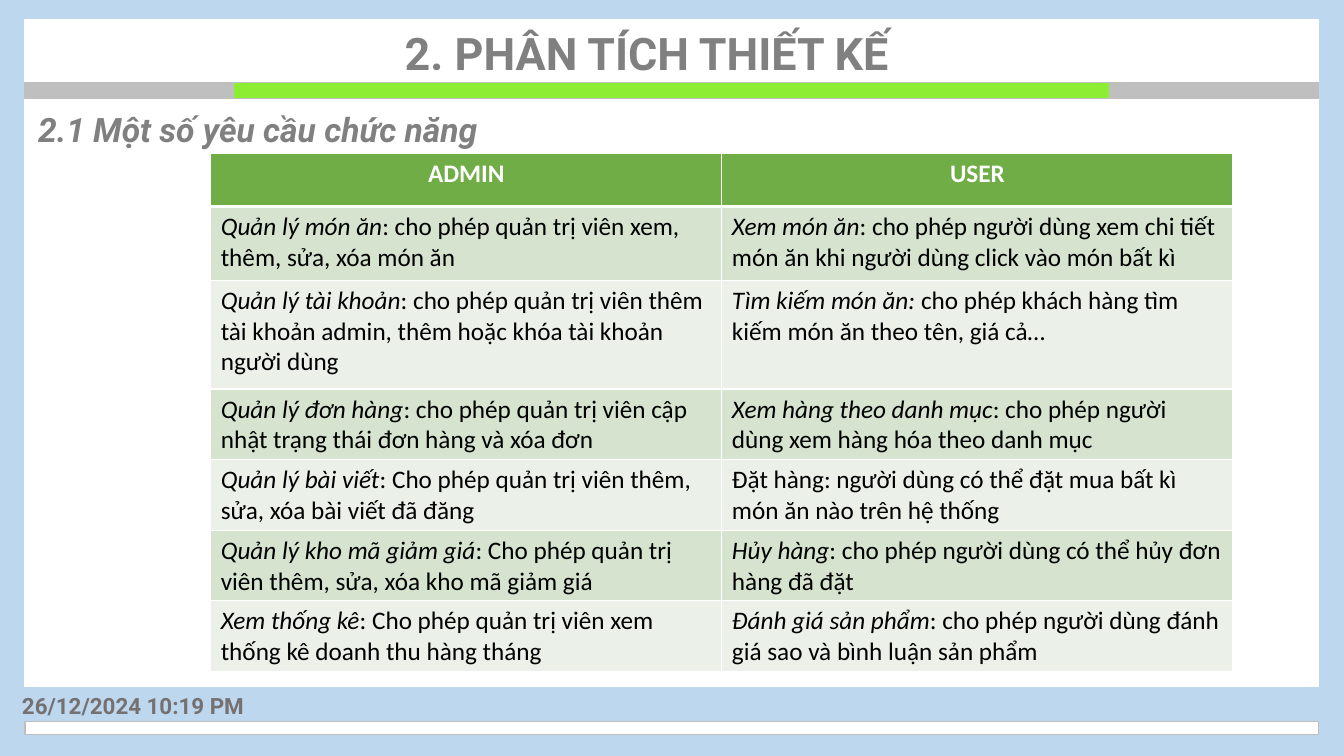
from lxml import etree
from pptx import Presentation
from pptx.dml.color import RGBColor
from pptx.enum.shapes import MSO_SHAPE
from pptx.enum.text import MSO_ANCHOR, PP_ALIGN
from pptx.oxml.ns import qn
from pptx.util import Inches, Pt

RECTANGLE = MSO_SHAPE.RECTANGLE
TOP, MIDDLE = MSO_ANCHOR.TOP, MSO_ANCHOR.MIDDLE
LEFT, CENTER, JUSTIFY = PP_ALIGN.LEFT, PP_ALIGN.CENTER, PP_ALIGN.JUSTIFY

WHITE = RGBColor(0xFF, 0xFF, 0xFF)
BLACK = RGBColor(0x00, 0x00, 0x00)
SKY = RGBColor(0xBD, 0xD7, 0xEE)
SILVER = RGBColor(0xBF, 0xBF, 0xBF)
LIME = RGBColor(0x8C, 0xED, 0x33)
GRAY = RGBColor(0x80, 0x80, 0x80)
DATE_GRAY = RGBColor(0x76, 0x71, 0x71)
HEADER_GREEN = RGBColor(0x70, 0xAD, 0x47)
BANDS = (RGBColor(0xD5, 0xE3, 0xCF), RGBColor(0xEB, 0xF1, 0xE9))

PAGE_WIDTH, PAGE_HEIGHT = 13.33, 7.5
ROW_HEIGHTS = (0.53, 0.73, 1.08, 0.7, 0.7, 0.7, 0.7)
HEADERS = ("ADMIN", "USER")
FEATURES = (
    (("Quản lý món ăn", ": cho phép quản trị viên xem, thêm, sửa, xóa món ăn"),
     ("Xem món ăn", ": cho phép người dùng xem chi tiết món ăn khi người dùng click vào món bất kì")),
    (("Quản lý tài khoản", ": cho phép quản trị viên thêm tài khoản admin, thêm hoặc khóa tài khoản người dùng"),
     ("Tìm kiếm món ăn: ", "cho phép khách hàng tìm kiếm món ăn theo tên, giá cả…")),
    (("Quản lý đơn hàng", ": cho phép quản trị viên cập nhật trạng thái đơn hàng và xóa đơn"),
     ("Xem hàng theo danh mục", ": cho phép người dùng xem hàng hóa theo danh mục")),
    (("Quản lý bài viết", ": Cho phép quản trị viên thêm, sửa, xóa bài viết đã đăng"),
     ("", "Đặt hàng: người dùng có thể đặt mua bất kì món ăn nào trên hệ thống")),
    (("Quản lý kho mã giảm giá", ": Cho phép quản trị viên thêm, sửa, xóa kho mã giảm giá"),
     ("Hủy hàng", ": cho phép người dùng có thể hủy đơn hàng đã đặt")),
    (("Xem thống kê", ": Cho phép quản trị viên xem thống kê doanh thu hàng tháng"),
     ("Đánh giá sản phẩm", ": cho phép người dùng đánh giá sao và bình luận sản phẩm")),
)


def add_span(para, text, size=18, font="Calibri", color=BLACK, bold=False, italic=False):
    """Append formatted text to a paragraph."""
    span = para.add_run()
    span.text = text
    span.font.size = Pt(size)
    span.font.name = font
    span.font.color.rgb = color
    span.font.bold = bold
    span.font.italic = italic


def add_label(page, box, text, align=LEFT, anchor=TOP, space_after=0, **style):
    """Place a one-line bold Roboto label in a box."""
    frame = page.shapes.add_textbox(*map(Inches, box)).text_frame
    frame.word_wrap = True
    frame.vertical_anchor = anchor
    para = frame.paragraphs[0]
    para.alignment = align
    para.space_after = Pt(space_after)
    add_span(para, text, font="Roboto", bold=True, **style)


def add_panel(page, box, fill, line=None):
    """Draw a filled rectangle with an optional thin outline."""
    panel = page.shapes.add_shape(RECTANGLE, *map(Inches, box))
    panel.shadow.inherit = False
    panel.fill.solid()
    panel.fill.fore_color.rgb = fill
    if line is None:
        panel.line.fill.background()
    else:
        panel.line.color.rgb = line
        panel.line.width = Pt(1)


def add_frame(page, left, top, width):
    """Draw the backdrop, content panel, footer strip and title bar."""
    cap = 2.07
    bar_top, bar_height = top + 0.62, 0.16
    add_panel(page, (0, 0, PAGE_WIDTH, PAGE_HEIGHT), SKY)
    add_panel(page, (left, top, width, 6.61), WHITE, WHITE)
    add_panel(page, (left, top + 6.96, width, 0.13), WHITE, SILVER)
    add_panel(page, (left, bar_top, width, bar_height), LIME, SILVER)
    add_panel(page, (left, bar_top, cap, bar_height), SILVER)
    add_panel(page, (left + width - cap, bar_top, cap, bar_height), SILVER, SILVER)


def style_cell(cell, fill, top=1, bottom=1):
    """Give a cell white borders and a solid fill."""
    properties = cell._tc.get_or_add_tcPr()
    for side, width in (("L", 1), ("R", 1), ("T", top), ("B", bottom)):
        border = etree.SubElement(properties, qn(f"a:ln{side}"), w=str(Pt(width)))
        paint = etree.SubElement(border, qn("a:solidFill"))
        etree.SubElement(paint, qn("a:srgbClr"), val=str(WHITE))
    cell.fill.solid()
    cell.fill.fore_color.rgb = fill


def add_feature_table(page, left, top, width):
    """Build the table of functions for each role."""
    box = map(Inches, (left, top, width, sum(ROW_HEIGHTS)))
    table = page.shapes.add_table(len(ROW_HEIGHTS), len(HEADERS), *box).table
    for row, height in zip(table.rows, ROW_HEIGHTS):
        row.height = Inches(height)
    for column, header in enumerate(HEADERS):
        table.columns[column].width = Inches(width / len(HEADERS))
        cell = table.cell(0, column)
        style_cell(cell, HEADER_GREEN, bottom=3)
        para = cell.text_frame.paragraphs[0]
        para.alignment = CENTER
        add_span(para, header, color=WHITE, bold=True)
    for number, features in enumerate(FEATURES):
        for column, (name, detail) in enumerate(features):
            cell = table.cell(number + 1, column)
            style_cell(cell, BANDS[number % 2], top=1 if number else 3)
            para = cell.text_frame.paragraphs[0]
            if name:
                add_span(para, name, italic=True)
            add_span(para, detail)


def build_requirements_page(deck):
    """Compose the functional requirements slide."""
    page = deck.slides.add_slide(deck.slide_layouts[6])
    add_frame(page, 0.25, 0.2, 12.83)
    add_label(page, (0.28, 1.03, 7.47, 0.5), "2.1 Một số yêu cầu chức năng",
              align=JUSTIFY, space_after=8, size=24, color=GRAY, italic=True)
    add_label(page, (0.12, 6.8, 3, 0.4), "26/12/2024 10:19 PM",
              anchor=MIDDLE, size=16, color=DATE_GRAY)
    add_label(page, (3.12, 0.21, 6.59, 1.18), "2. PHÂN TÍCH THIẾT KẾ",
              align=CENTER, size=32, color=GRAY)
    add_feature_table(page, 2.09, 1.52, 10.14)


def main():
    """Create and save the deck."""
    deck = Presentation()
    deck.slide_width = Inches(PAGE_WIDTH)
    deck.slide_height = Inches(PAGE_HEIGHT)
    build_requirements_page(deck)
    deck.save("out.pptx")


if __name__ == "__main__":
    main()
